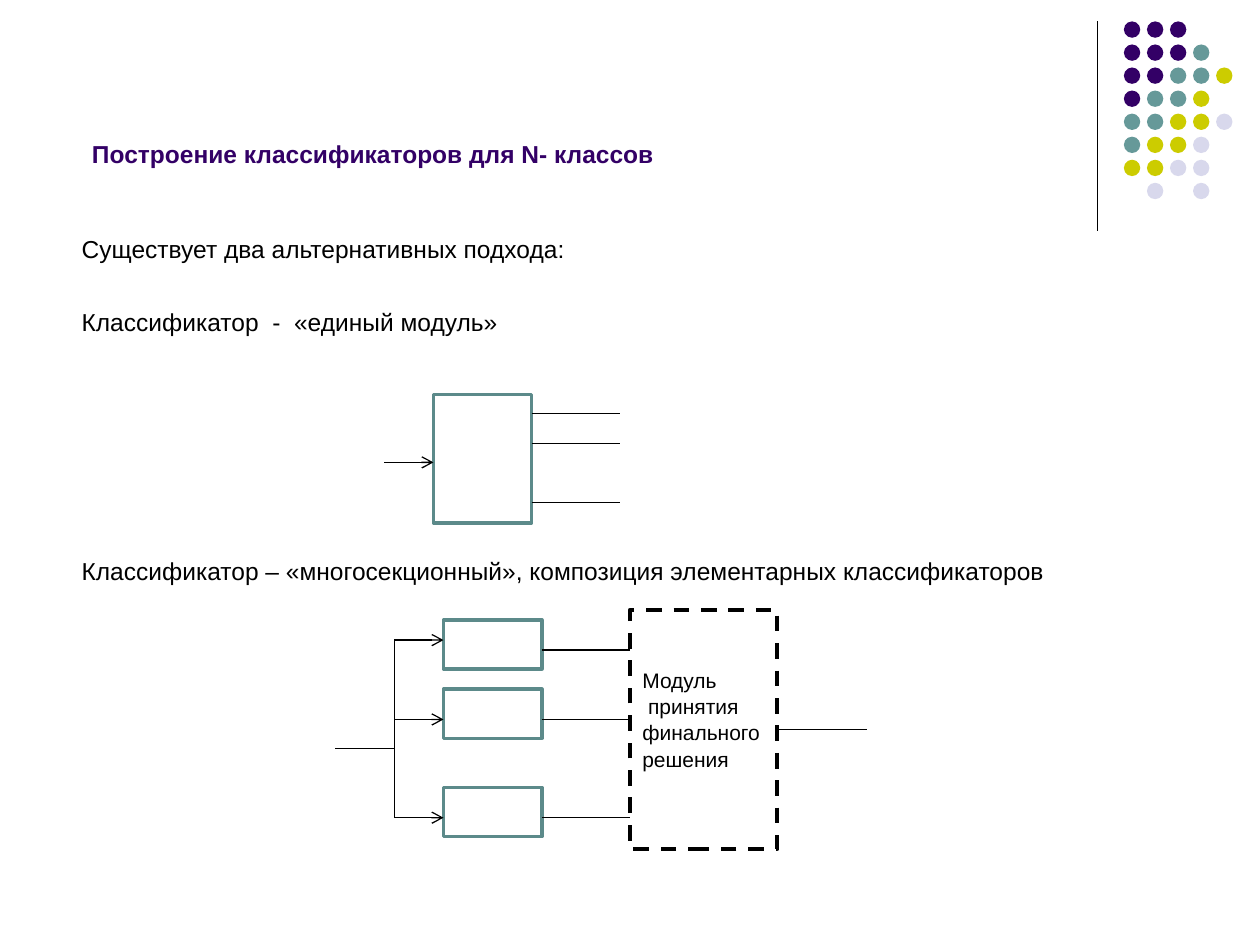
from lxml.etree import SubElement
from pptx import Presentation
from pptx.dml.color import RGBColor
from pptx.enum.dml import MSO_LINE
from pptx.enum.shapes import MSO_CONNECTOR, MSO_SHAPE
from pptx.enum.text import MSO_ANCHOR, MSO_AUTO_SIZE, PP_ALIGN
from pptx.oxml.ns import qn
from pptx.util import Inches, Pt

BLACK = RGBColor(0x00, 0x00, 0x00)
WHITE = RGBColor(0xFF, 0xFF, 0xFF)
PURPLE = RGBColor(0x33, 0x00, 0x66)
TEAL = RGBColor(0x66, 0x99, 0x99)
DARK_TEAL = RGBColor(0x5C, 0x8A, 0x8A)
OLIVE = RGBColor(0xCC, 0xCC, 0x00)
LAVENDER = RGBColor(0xD8, 0xD8, 0xEC)

FONT = "Arial"
DOT_COLORS = {"P": PURPLE, "T": TEAL, "O": OLIVE, "L": LAVENDER}
DOT_ROWS = ["PPP", "PPPT", "PPTTO", "PTTO", "TTOOL", "TOOL", "OOLL", " L L"]
STATEMENTS = [
    ("Существует два альтернативных подхода:", 0),
    ("Классификатор  -  «единый модуль»", 24.5),
    ("Классификатор – «многосекционный», композиция элементарных классификаторов", 125.5),
]


def add_span(para, text, size, color, bold=False):
    """Append one formatted run to a paragraph."""
    span = para.add_run()
    span.text = text
    span.font.name = FONT
    span.font.size = Pt(size)
    span.font.bold = bold
    span.font.color.rgb = color


def add_line(page, x1, y1, x2, y2, arrow=False):
    """Draw a thin black line, with an open arrowhead at its end on request."""
    line = page.shapes.add_connector(
        MSO_CONNECTOR.STRAIGHT, Inches(x1), Inches(y1), Inches(x2), Inches(y2))
    line.line.color.rgb = BLACK
    line.line.width = Pt(0.75)
    if arrow:
        SubElement(line.line._get_or_add_ln(), qn("a:tailEnd"), type="arrow")
    SubElement(line._element.spPr, qn("a:effectLst"))
    return line


def add_block(page, left, top, width, height):
    """Draw a white classifier block with a teal outline."""
    block = page.shapes.add_shape(
        MSO_SHAPE.RECTANGLE, Inches(left), Inches(top), Inches(width), Inches(height))
    block.shadow.inherit = False
    block.fill.solid()
    block.fill.fore_color.rgb = WHITE
    block.line.color.rgb = DARK_TEAL
    block.line.width = Pt(2)
    return block


def add_ornament(page, left, top, pitch, size):
    """Draw the corner rule and the grid of coloured dots."""
    add_line(page, left - 0.21, top, left - 0.21, top + 1.66)
    for row, codes in enumerate(DOT_ROWS):
        for column, code in enumerate(codes):
            if code not in DOT_COLORS:
                continue
            dot = page.shapes.add_shape(
                MSO_SHAPE.OVAL, Inches(left + column * pitch), Inches(top + row * pitch),
                Inches(size), Inches(size))
            dot.shadow.inherit = False
            dot.fill.solid()
            dot.fill.fore_color.rgb = DOT_COLORS[code]
            dot.line.fill.background()


def add_title(page, left, top, width, height):
    """Place and format the title placeholder."""
    title = page.shapes.title
    title.left, title.top = Inches(left), Inches(top)
    title.width, title.height = Inches(width), Inches(height)
    frame = title.text_frame
    frame.auto_size = MSO_AUTO_SIZE.NONE
    frame.vertical_anchor = MSO_ANCHOR.BOTTOM
    para = frame.paragraphs[0]
    para.alignment = PP_ALIGN.LEFT
    add_span(para, "Построение классификаторов для N- классов", 14, PURPLE, bold=True)


def add_statements(page, left, top, width, height):
    """Write the statements, spaced to leave room for the diagrams."""
    box = page.shapes.add_textbox(Inches(left), Inches(top), Inches(width), Inches(height))
    frame = box.text_frame
    frame.word_wrap = True
    for index, (text, space) in enumerate(STATEMENTS):
        para = frame.add_paragraph() if index else frame.paragraphs[0]
        para.space_before = Pt(space)
        add_span(para, text, 14, BLACK)


def add_single_module(page, left, top, width, height):
    """Draw the one-block classifier with its input and outputs."""
    add_block(page, left, top, width, height)
    add_line(page, left - 0.39, top + 0.54, left, top + 0.54, arrow=True)
    right = left + width
    for offset in (0.15, 0.39, 0.86):
        add_line(page, right, top + offset, right + 0.7, top + offset)


def add_decision_module(page, left, top, width, height):
    """Draw the dashed final decision module and its output."""
    module = page.shapes.add_shape(
        MSO_SHAPE.RECTANGLE, Inches(left), Inches(top), Inches(width), Inches(height))
    module.shadow.inherit = False
    module.fill.background()
    module.line.color.rgb = BLACK
    module.line.width = Pt(2.25)
    module.line.dash_style = MSO_LINE.DASH
    frame = module.text_frame
    frame.word_wrap = True
    frame.vertical_anchor = MSO_ANCHOR.TOP
    frame.margin_top = Inches(0.45)
    for index, text in enumerate(("Модуль", " принятия финального решения")):
        para = frame.add_paragraph() if index else frame.paragraphs[0]
        para.alignment = PP_ALIGN.LEFT
        para.line_spacing = 1.04
        add_span(para, text, 12, BLACK)
    right, middle = left + width, top + height / 2
    output = add_line(page, right, middle, right + 0.71, middle)
    output.begin_connect(module, 3)


def add_multi_section(page, left, top, width, height):
    """Draw the sections, their shared input and the decision module."""
    section_left, section_width, section_height = left + 0.86, 0.78, 0.39
    section_right = section_left + section_width
    bus = section_left - 0.39
    module_left = section_right + 0.7
    sections = ((0.08, 0.16, 0.24), (0.63, 0.24, 0.24), (1.41, 0.24, 0.24))
    for offset, entry, leave in sections:
        section_top = top + offset
        add_block(page, section_left, section_top, section_width, section_height)
        add_line(page, bus, section_top + entry, section_left, section_top + entry, arrow=True)
        add_line(page, section_right, section_top + leave, module_left, section_top + leave)
    add_line(page, bus, top + 0.24, bus, top + 1.65)
    add_line(page, left, top + 1.1, bus, top + 1.1)
    add_decision_module(page, module_left, top, left + width - module_left, height)


def main():
    """Build the deck and save it."""
    deck = Presentation()
    deck.slide_width, deck.slide_height = Inches(10), Inches(7.5)
    page = deck.slides.add_slide(deck.slide_layouts[5])
    add_ornament(page, 8.92, 0.17, 0.183, 0.13)
    add_statements(page, 0.55, 1.81, 9, 5.08)
    add_title(page, 0.63, 0.7, 5.39, 0.69)
    add_single_module(page, 3.44, 3.13, 0.78, 1.02)
    add_multi_section(page, 2.66, 4.84, 3.51, 1.9)
    deck.save("out.pptx")


if __name__ == "__main__":
    main()
